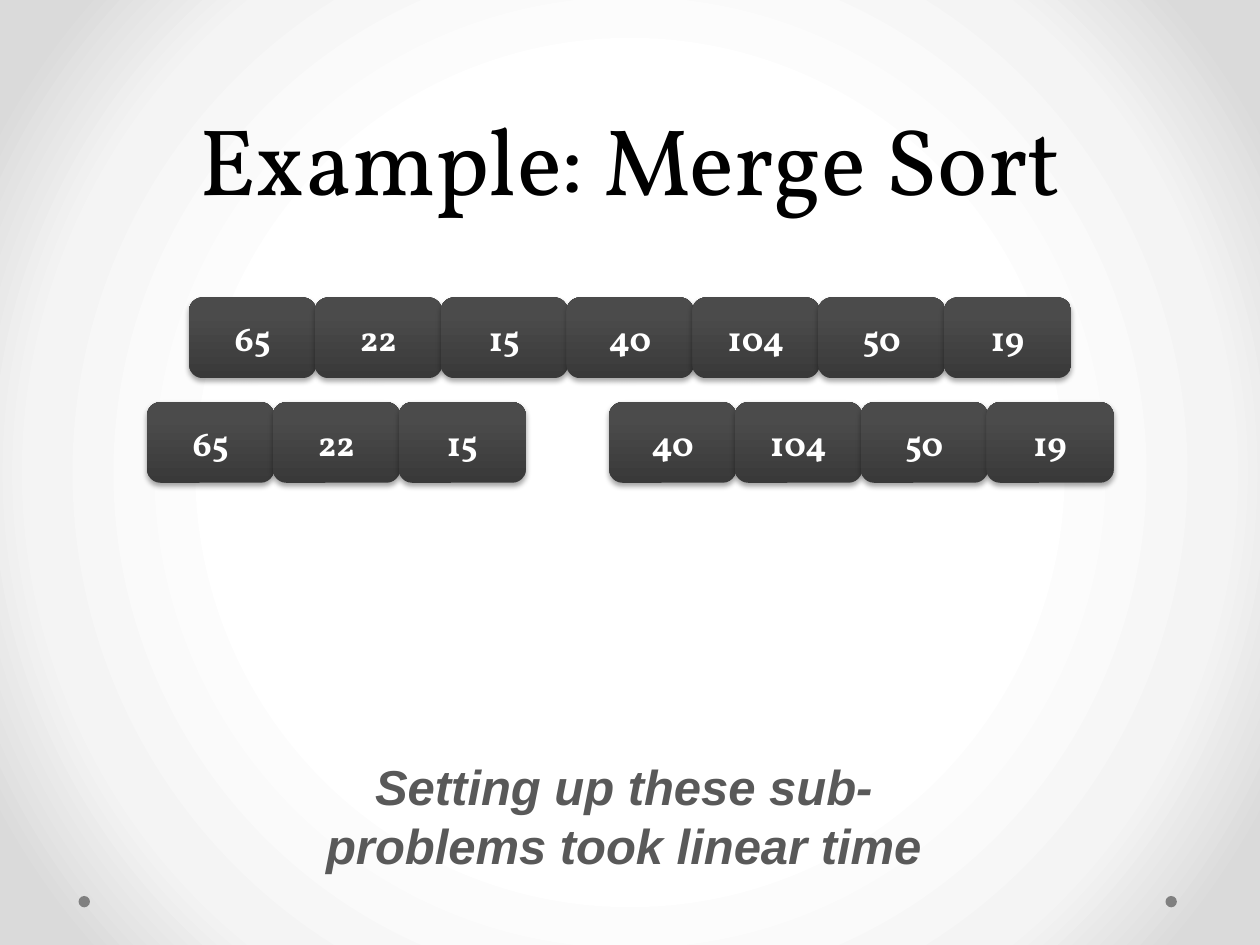
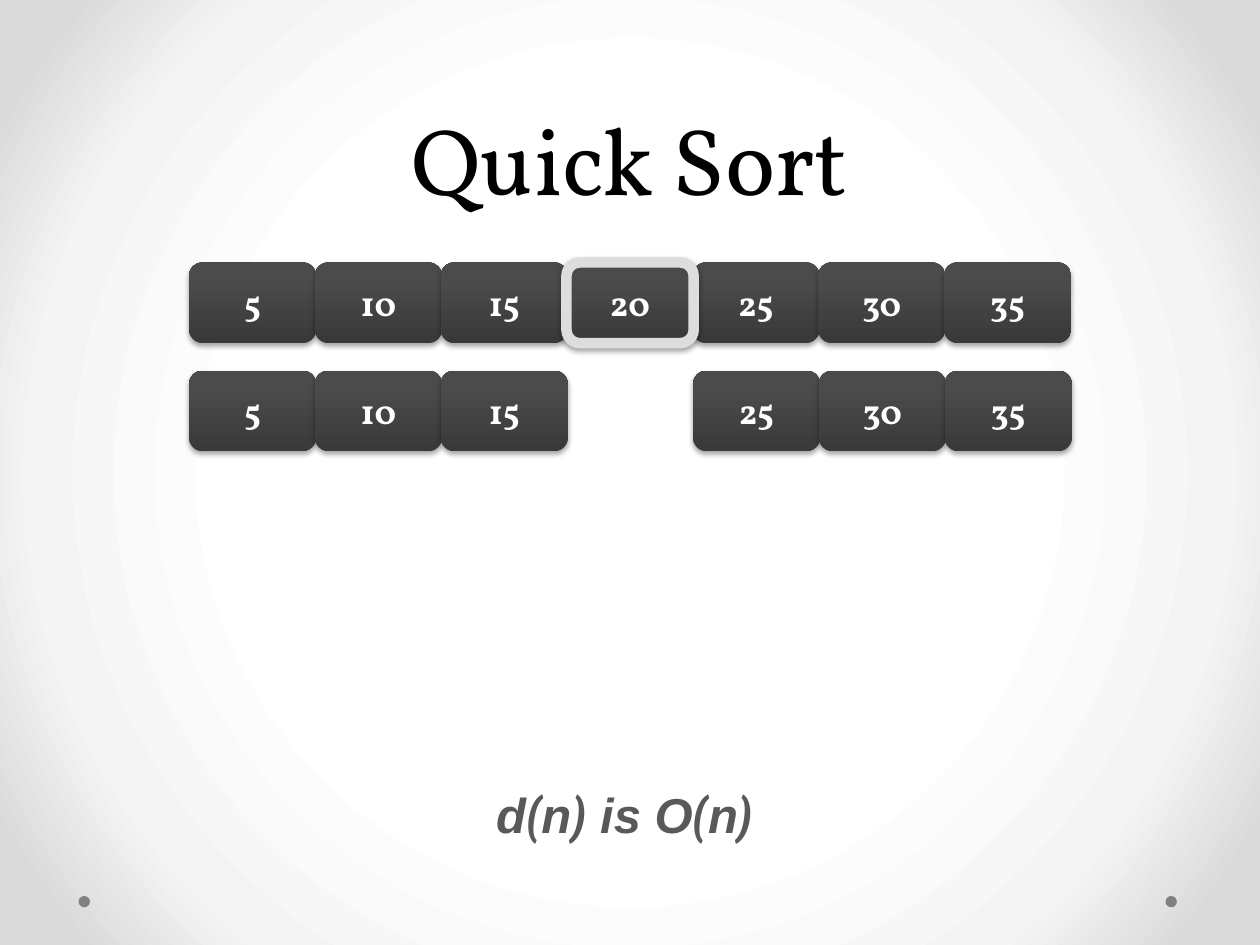
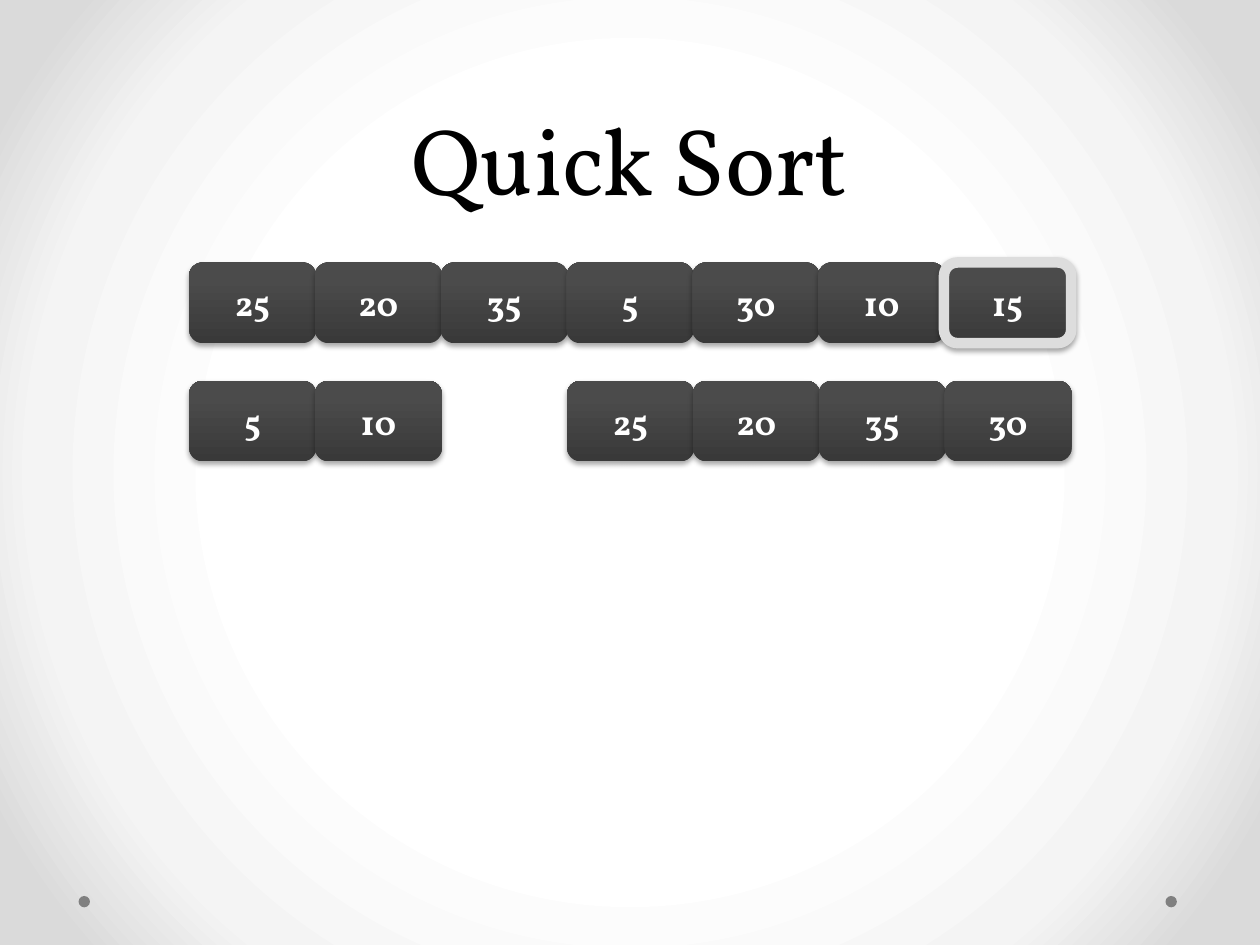
from dataclasses import dataclass
from itertools import groupby

from lxml import etree
from pptx import Presentation
from pptx.dml.color import RGBColor
from pptx.enum.shapes import MSO_SHAPE
from pptx.enum.text import MSO_ANCHOR, MSO_AUTO_SIZE, PP_ALIGN
from pptx.oxml.ns import qn
from pptx.util import Pt

ROUNDED = MSO_SHAPE.ROUNDED_RECTANGLE
OVAL = MSO_SHAPE.OVAL
MIDDLE = MSO_ANCHOR.MIDDLE
BOTTOM = MSO_ANCHOR.BOTTOM
CENTER = PP_ALIGN.CENTER
GROW = MSO_AUTO_SIZE.SHAPE_TO_FIT_TEXT

# Colours and fonts
BLACK = RGBColor(0x00, 0x00, 0x00)
WHITE = RGBColor(0xFF, 0xFF, 0xFF)
PALE = RGBColor(0xF4, 0xF4, 0xF4)
SILVER = RGBColor(0xDA, 0xDA, 0xDA)
PIVOT_LINE = RGBColor(0xDD, 0xDD, 0xDD)
DOT_GREY = RGBColor(0x80, 0x80, 0x80)
NOTE_GREY = RGBColor(0x59, 0x59, 0x59)
CELL_DARK = RGBColor(0x39, 0x39, 0x39)
CELL_LIGHT = RGBColor(0x4B, 0x4B, 0x4B)
SERIF, SANS, BRACKETS = "Vollkorn", "Arial", "Roboto Condensed"

# Gradients as (position in percent, colour)
PAGE_STOPS = [(50, WHITE), (76, PALE), (92, SILVER)]
CELL_STOPS = [(0, CELL_DARK), (80, CELL_LIGHT), (100, CELL_LIGHT)]

# Cell grid, in points
CELL_WIDTH, CELL_HEIGHT, CELL_STEP = 72.7, 46.1, 71.9
ROW_LEFT = 108
DOT_SIZE, DOT_TOP, DOT_LEFTS = 6.5, 512, (44.9, 666)


@dataclass(frozen=True)
class Row:
    top: float
    values: tuple[int, ...]
    left: float = ROW_LEFT
    pivot: int | None = None


@dataclass(frozen=True)
class Note:
    text: str
    left: float
    top: float
    width: float
    height: float


@dataclass(frozen=True)
class Page:
    title: str
    rows: tuple[Row, ...]
    note: Note | None = None


def set_gradient(parent, stops, angle: int | None = None) -> None:
    """Replace a solid fill by a linear gradient, or a circular one without an angle."""
    gradient = etree.Element(qn("a:gradFill"), rotWithShape="1")
    stop_list = etree.SubElement(gradient, qn("a:gsLst"))
    for position, color in stops:
        stop = etree.SubElement(stop_list, qn("a:gs"), pos=str(position * 1000))
        etree.SubElement(stop, qn("a:srgbClr"), val=str(color))
    if angle is None:
        circle = etree.SubElement(gradient, qn("a:path"))
        circle.set("path", "circle")
        sides = {side: "50000" for side in "ltrb"}
        etree.SubElement(circle, qn("a:fillToRect"), **sides)
    else:
        etree.SubElement(gradient, qn("a:lin"), ang=str(angle * 60000), scaled="0")
    parent.replace(parent.find(qn("a:solidFill")), gradient)


def add_shadow(shape) -> None:
    shape.shadow.inherit = False
    effects = shape._element.spPr.find(qn("a:effectLst"))
    shadow = etree.SubElement(
        effects, qn("a:outerShdw"), blurRad=str(Pt(3.1)), dist=str(Pt(1.8)),
        dir=str(90 * 60000), algn="ctr", rotWithShape="0")
    color = etree.SubElement(shadow, qn("a:srgbClr"), val=str(BLACK))
    etree.SubElement(color, qn("a:alpha"), val="35000")


def style(para, size: float, color: RGBColor, name: str | None = None,
          bold: bool = False, italic: bool = False) -> None:
    para.alignment = CENTER
    font = para.font
    font.size, font.name, font.bold, font.italic = Pt(size), name, bold, italic
    font.color.rgb = color


def add_frame(page) -> None:
    """Background and the two footer dots."""
    page.background.fill.solid()
    set_gradient(page._element.find(".//" + qn("p:bgPr")), PAGE_STOPS)
    for left in DOT_LEFTS:
        dot = page.shapes.add_shape(OVAL, Pt(left), Pt(DOT_TOP), Pt(DOT_SIZE), Pt(DOT_SIZE))
        dot.shadow.inherit = False
        dot.fill.solid()
        dot.fill.fore_color.rgb = DOT_GREY
        dot.line.fill.background()


def add_title(page, text: str) -> None:
    box = page.shapes.add_textbox(Pt(36), Pt(0), Pt(648), Pt(126))
    box.text_frame.word_wrap = True
    box.text_frame.vertical_anchor = BOTTOM
    para = box.text_frame.paragraphs[0]
    para.text = text
    para.line_spacing = Pt(58)
    style(para, 54, BLACK, SERIF)


def add_cell(page, left: float, top: float, value: int, is_pivot: bool) -> None:
    cell = page.shapes.add_shape(ROUNDED, Pt(left), Pt(top), Pt(CELL_WIDTH), Pt(CELL_HEIGHT))
    cell.fill.solid()
    set_gradient(cell._element.spPr, CELL_STOPS, 270)
    if is_pivot:
        cell.line.color.rgb = PIVOT_LINE
        cell.line.width = Pt(6)
    else:
        cell.line.fill.background()
    add_shadow(cell)
    cell.text_frame.vertical_anchor = MIDDLE
    para = cell.text_frame.paragraphs[0]
    para.text = str(value)
    style(para, 20, WHITE, SERIF, bold=True)


def add_row(page, row: Row) -> None:
    # The pivot comes last so that its outline lies above its neighbours
    order = sorted(range(len(row.values)), key=lambda index: index == row.pivot)
    for index in order:
        add_cell(page, row.left + index * CELL_STEP, row.top,
                 row.values[index], index == row.pivot)


def add_note(page, note: Note) -> None:
    box = page.shapes.add_textbox(Pt(note.left), Pt(note.top), Pt(note.width), Pt(note.height))
    box.text_frame.word_wrap = True
    box.text_frame.auto_size = GROW
    para = box.text_frame.paragraphs[0]
    style(para, 28, NOTE_GREY, bold=True, italic=True)
    # Brackets have a font of their own
    for is_bracket, letters in groupby(note.text, key=lambda letter: letter in "()"):
        span = para.add_run()
        span.text = "".join(letters)
        span.font.name = BRACKETS if is_bracket else SANS


PAGES = (
    Page("Example: Merge Sort",
         (Row(170, (65, 22, 15, 40, 104, 50, 19)),
          Row(229.8, (65, 22, 15), left=84),
          Row(229.8, (40, 104, 50, 19), left=348)),
         Note("Setting up these sub-problems took linear time", 150, 429, 413, 75)),
    Page("Quick Sort",
         (Row(211.8, (5, 10, 15)),
          Row(211.8, (25, 30, 35), left=396),
          Row(150, (5, 10, 15, 20, 25, 30, 35), pivot=3)),
         Note("d(n) is O(n)", 156, 445, 402, 41)),
    Page("Quick Sort",
         (Row(150, (25, 20, 35, 5, 30, 10, 15), pivot=6),
          Row(217.6, (5, 10)),
          Row(217.6, (25, 20, 35, 30), left=324))),
)

deck = Presentation()
deck.slide_width, deck.slide_height = Pt(720), Pt(540)
blank = deck.slide_layouts[6]
for content in PAGES:
    page = deck.slides.add_slide(blank)
    add_frame(page)
    add_title(page, content.title)
    for row in content.rows:
        add_row(page, row)
    if content.note:
        add_note(page, content.note)
deck.save("out.pptx")
